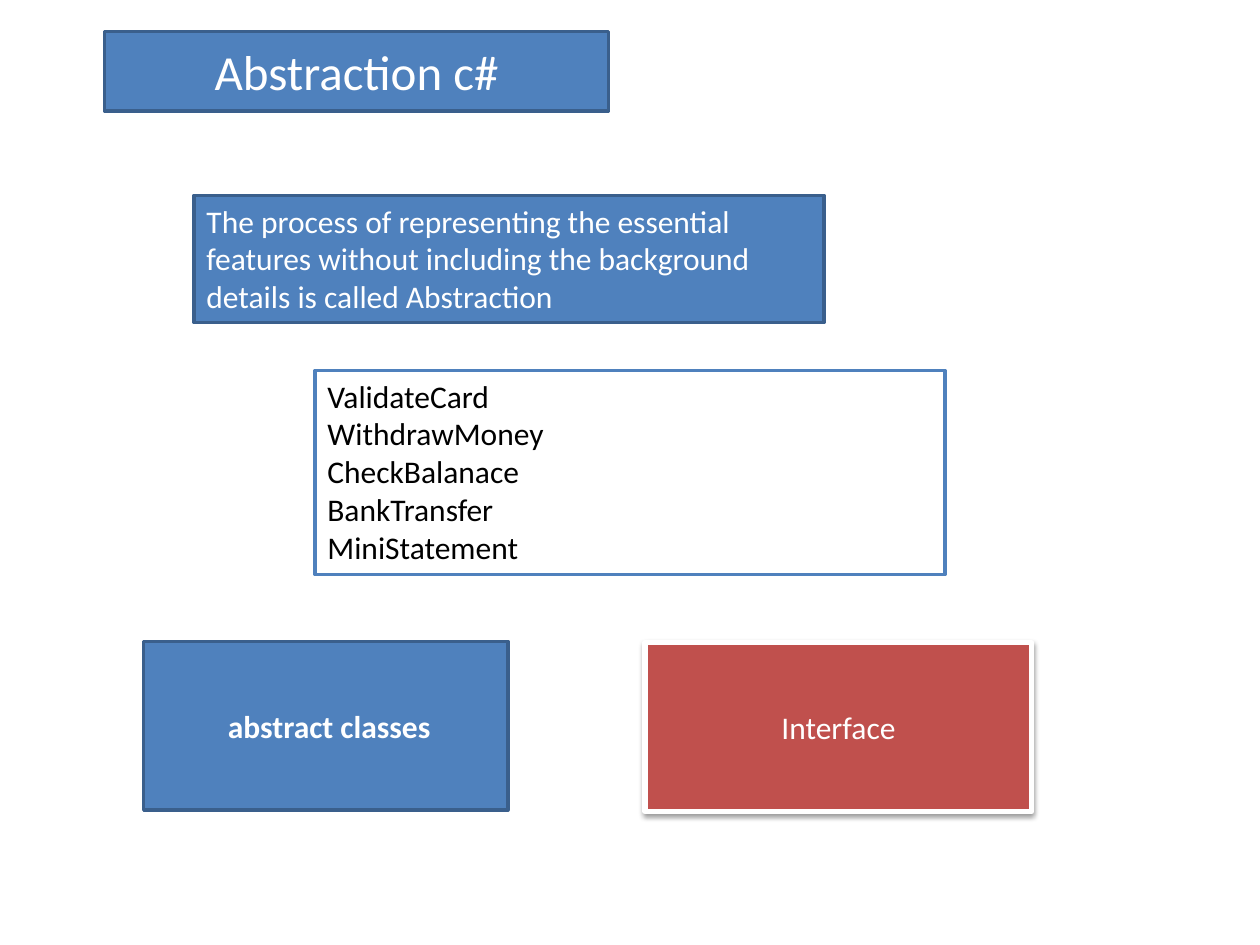
from lxml.etree import SubElement
from pptx import Presentation
from pptx.dml.color import RGBColor
from pptx.enum.shapes import MSO_SHAPE
from pptx.enum.text import MSO_ANCHOR, MSO_AUTO_SIZE, PP_ALIGN
from pptx.oxml.ns import qn
from pptx.util import Inches, Pt

FONT = "Calibri"
COLORS = {
    "blue": "4F81BD",
    "dark_blue": "3A5F8C",
    "red": "C0504D",
    "white": "FFFFFF",
    "black": "000000",
}
METHODS = ["ValidateCard", "WithdrawMoney", "CheckBalanace", "BankTransfer", "MiniStatement"]


def color(name):
    return RGBColor.from_string(COLORS[name])


def add_box(slide, left, top, width, height, fill="blue", line="dark_blue", line_width=2):
    """Add a plain rectangle with a solid fill and outline."""
    shape = slide.shapes.add_shape(
        MSO_SHAPE.RECTANGLE, Inches(left), Inches(top), Inches(width), Inches(height))
    shape.shadow.inherit = False
    shape.fill.solid()
    shape.fill.fore_color.rgb = color(fill)
    shape.line.color.rgb = color(line)
    shape.line.width = Pt(line_width)
    return shape


def write_text(shape, text, size=18, font_color="white", bold=False, align=PP_ALIGN.CENTER):
    text_frame = shape.text_frame
    text_frame.word_wrap = True
    text_frame.text = text
    for paragraph in text_frame.paragraphs:
        paragraph.alignment = align
        for run in paragraph.runs:
            run.font.name = FONT
            run.font.size = Pt(size)
            run.font.bold = bold
            run.font.color.rgb = color(font_color)


def write_note(shape, text, font_color="white"):
    """Write left-aligned text from the top of a box that grows with it."""
    write_text(shape, text, font_color=font_color, align=PP_ALIGN.LEFT)
    shape.text_frame.vertical_anchor = MSO_ANCHOR.TOP
    shape.text_frame.auto_size = MSO_AUTO_SIZE.SHAPE_TO_FIT_TEXT


def add_drop_shadow(shape, blur, distance, opacity):
    """Put a soft black shadow straight below the shape."""
    effects = shape.element.spPr.find(qn("a:effectLst"))
    shadow = SubElement(
        effects, qn("a:outerShdw"), blurRad=str(Pt(blur)), dist=str(Pt(distance)),
        dir=str(90 * 60000), rotWithShape="0")
    shade = SubElement(shadow, qn("a:srgbClr"), val=COLORS["black"])
    SubElement(shade, qn("a:alpha"), val=str(opacity * 1000))


def main():
    presentation = Presentation()
    presentation.slide_width = Inches(10)
    presentation.slide_height = Inches(7.5)
    slide = presentation.slides.add_slide(presentation.slide_layouts[6])

    # Title
    title = add_box(slide, 0.83, 0.25, 4, 0.63)
    write_text(title, "Abstraction c#", size=28)

    # Definition
    definition = add_box(slide, 1.54, 1.55, 5, 1.01)
    write_note(definition, "The process of representing the essential features without "
                           "including the background details is called Abstraction")

    # Example methods
    methods = add_box(slide, 2.5, 2.94, 5, 1.62, fill="white", line="blue")
    write_note(methods, "\n".join(METHODS), font_color="black")

    # Two ways to get abstraction
    abstract_classes = add_box(slide, 1.14, 5.09, 2.89, 1.34)
    write_text(abstract_classes, " abstract classes", bold=True)

    interface = add_box(slide, 5.12, 5.1, 3.07, 1.34, fill="red", line="white", line_width=3)
    add_drop_shadow(interface, blur=3.1, distance=1.6, opacity=38)
    write_text(interface, "Interface")

    presentation.save("out.pptx")


if __name__ == "__main__":
    main()
